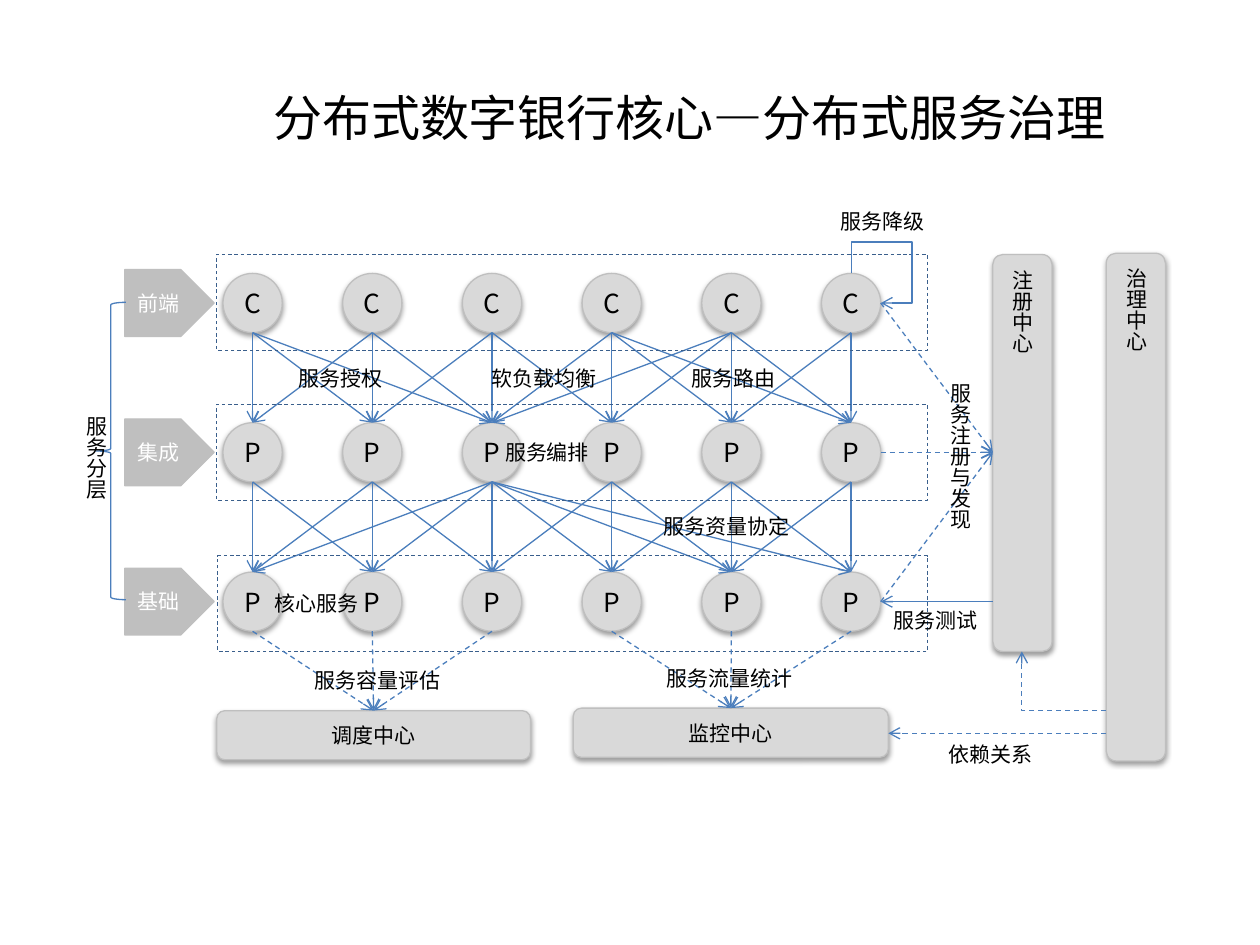
from pptx import Presentation
from pptx import util as u
from pptx.dml.color import RGBColor
from pptx.enum import dml, shapes, text
from pptx.oxml import parse_xml
from pptx.oxml.ns import nsdecls, qn

# ---- Content ----
TITLE = "分布式数字银行核心—分布式服务治理"
LAYERS = [("前端", "C"), ("集成", "P"), ("基础", "P")]
# Calls from each node (by column) to nodes in the layer below
CALLS = [
    [(0, 1, 2), (0, 1, 2), (1, 2, 3), (2, 3, 4, 5), (2, 3, 4, 5), (4, 5)],
    [(0, 1), (0, 1, 2), (0, 1, 2, 3, 4, 5), (2, 3, 4), (3, 4, 5), (4, 5)],
]
# name, (left, top, width, height), vertical
CENTERS = {
    "dispatch": ("调度中心", (1.72, 5.64, 2.49, 0.39), False),
    "monitor": ("监控中心", (4.55, 5.62, 2.5, 0.39), False),
    "registry": ("注册中心", (7.88, 2.02, 0.47, 3.15), True),
    "governance": ("治理中心", (8.78, 2.01, 0.47, 4.03), True),
}
LABELS = [
    ("服务降级", 6.57, 1.61), ("服务授权", 2.27, 2.85),
    ("软负载均衡", 3.8, 2.85), ("服务路由", 5.39, 2.85),
    ("服务编排", 3.91, 3.44), ("服务资量协定", 5.17, 4.03),
    ("核心服务", 2.08, 4.64), ("服务容量评估", 2.4, 5.25),
    ("服务流量统计", 5.19, 5.23), ("依赖关系", 7.43, 5.84),
    ("服务测试", 6.99, 4.77),
]
VERTICAL_LABELS = [("服务分层", 0.51, 3.2, 0.77), ("服务注册与发现", 7.37, 2.94, 1.28)]
FRAMES = [(1.72, 2.02, 5.64, 0.76), (1.72, 3.21, 5.64, 0.76), (1.73, 4.41, 5.63, 0.76)]

THEME = {
    "font": "Noto Sans CJK SC", "title": 28, "node": 15, "body": 12,
    "ink": "000000", "light": "FFFFFF", "face": "D9D9D9", "edge": "BFBFBF",
    "arrow": "4B7EBC", "frame": "3A5F8C",
}

# ---- Grid ----
COLUMNS = 6
NODE = 0.47
NODE_LEFT, NODE_TOP = 1.77, 2.17
COLUMN_STEP, ROW_STEP = 0.95, 1.185


def center_x(column):
    return NODE_LEFT + COLUMN_STEP * column + NODE / 2


def top_y(row):
    return NODE_TOP + ROW_STEP * row


def inches(values):
    return [u.Inches(value) for value in values]


deck = Presentation()
deck.slide_width, deck.slide_height = u.Inches(10), u.Inches(7.5)
page = deck.slides.add_slide(deck.slide_layouts[6])


# ---- Helpers ----
def write(box, words, size, color="ink", centered=True, vertical=False):
    frame = box.text_frame
    frame.text = words
    frame.vertical_anchor = text.MSO_ANCHOR.MIDDLE
    para = frame.paragraphs[0]
    para.alignment = text.PP_ALIGN.CENTER if centered else text.PP_ALIGN.LEFT
    span = para.runs[0]
    span.font.size = u.Pt(THEME[size])
    span.font.name = THEME["font"]
    span.font.color.rgb = RGBColor.from_string(THEME[color])
    east_asian = parse_xml(f'<a:ea {nsdecls("a")} typeface="{THEME["font"]}"/>')
    span.font._element.append(east_asian)
    if vertical:
        frame._txBody.bodyPr.set("vert", "eaVert")


def stroke(line, color, width=0.75, dashed=False):
    line.color.rgb = RGBColor.from_string(THEME[color])
    line.width = u.Pt(width)
    if dashed:
        line.dash_style = dml.MSO_LINE.DASH


def add_box(kind, place, fill=None, edge="edge", width=0.75, dashed=False):
    box = page.shapes.add_shape(kind, *inches(place))
    box.shadow.inherit = False
    if fill:
        box.fill.solid()
        box.fill.fore_color.rgb = RGBColor.from_string(THEME[fill])
    else:
        box.fill.background()
    stroke(box.line, edge, width, dashed)
    return box


def add_raised(kind, place):
    box = add_box(kind, place, "face")
    effects = box._element.spPr.find(qn("a:effectLst"))
    effects.append(parse_xml(
        f'<a:outerShdw {nsdecls("a")} blurRad="{u.Pt(3.1)}" dist="{u.Pt(1.6)}" '
        'dir="5400000" rotWithShape="0"><a:srgbClr val="000000">'
        '<a:alpha val="38000"/></a:srgbClr></a:outerShdw>'))
    return box


def add_arrow(start, end, dashed=False, kind=shapes.MSO_CONNECTOR.STRAIGHT):
    arrow = page.shapes.add_connector(kind, *inches(start + end))
    stroke(arrow.line, "arrow", dashed=dashed)
    arrow.line._get_or_add_ln().append(
        parse_xml(f'<a:tailEnd {nsdecls("a")} type="arrow"/>'))
    arrow._element.spPr.append(parse_xml(f'<a:effectLst {nsdecls("a")}/>'))
    return arrow


def add_bent(corner, opposite, preset, degrees, flip=False, adjust=(), dashed=False):
    arrow = add_arrow(corner, opposite, dashed, shapes.MSO_CONNECTOR.ELBOW)
    properties = arrow._element.spPr
    frame = properties.find(qn("a:xfrm"))
    frame.set("rot", str(degrees * 60000))
    if flip:
        frame.set("flipH", "1")
    outline = properties.find(qn("a:prstGeom"))
    outline.set("prst", preset)
    guides = outline.find(qn("a:avLst"))
    for number, value in enumerate(adjust, 1):
        guides.append(parse_xml(
            f'<a:gd {nsdecls("a")} name="adj{number}" fmla="val {value}"/>'))


def add_label(words, left, top, width, height, vertical=False):
    box = page.shapes.add_textbox(*inches((left, top, width, height)))
    write(box, words, "body", centered=False, vertical=vertical)
    frame = box.text_frame
    frame.vertical_anchor = text.MSO_ANCHOR.TOP
    frame.word_wrap = False
    frame.auto_size = text.MSO_AUTO_SIZE.SHAPE_TO_FIT_TEXT


# ---- Title ----
title = page.shapes.add_textbox(*inches((0.94, 0.3, 9.06, 1.25)))
title.text_frame.word_wrap = True
write(title, TITLE, "title")

# ---- Layers of service nodes ----
for row, (layer, letter) in enumerate(LAYERS):
    for column in range(COLUMNS):
        left = NODE_LEFT + COLUMN_STEP * column
        node = add_raised(shapes.MSO_SHAPE.OVAL, (left, top_y(row), NODE, NODE))
        write(node, letter, "node")
    tag = add_box(shapes.MSO_SHAPE.PENTAGON, (0.99, top_y(row) - 0.03, 0.71, 0.53), "edge")
    write(tag, layer, "body", "light", centered=False)

# ---- Calls between layers ----
for row, sources in enumerate(CALLS):
    for source, targets in enumerate(sources):
        for target in targets:
            add_arrow((center_x(source), top_y(row) + NODE),
                      (center_x(target), top_y(row + 1)))

# ---- Layer brace and frames ----
add_box(shapes.MSO_SHAPE.LEFT_BRACE, (0.76, 2.4, 0.24, 2.36), edge="arrow")
for place in FRAMES:
    add_box(shapes.MSO_SHAPE.RECTANGLE, place, edge="frame", width=0.5, dashed=True)

# ---- Centers ----
for name, place, vertical in CENTERS.values():
    center = add_raised(shapes.MSO_SHAPE.ROUNDED_RECTANGLE, place)
    write(center, name, "body", centered=not vertical, vertical=vertical)

# ---- Base nodes report to the dispatch and monitor centers ----
for key, columns in (("dispatch", range(3)), ("monitor", range(3, 6))):
    left, top, width, height = CENTERS[key][1]
    for column in columns:
        add_arrow((center_x(column), top_y(2) + NODE), (left + width / 2, top), dashed=True)

# ---- Registration, testing, dependency and degradation ----
node_right = NODE_LEFT + COLUMN_STEP * (COLUMNS - 1) + NODE
registry_left = CENTERS["registry"][1][0]
middles = [top_y(row) + NODE / 2 for row in range(len(LAYERS))]
for middle in middles:
    add_arrow((node_right, middle), (registry_left, middles[1]), dashed=True)
add_arrow((registry_left, middles[2]), (node_right, middles[2]))
add_arrow((8.78, 5.82), (7.05, 5.82), dashed=True)
add_bent((8.11, 5.17), (8.78, 5.64), "bentConnector2", 180, dashed=True)
add_bent((center_x(5), NODE_TOP), (node_right, middles[0]), "bentConnector4", 270,
         flip=True, adjust=(-105800, 205800))

# ---- Labels ----
for words, left, top in LABELS:
    add_label(words, left, top, 0.21 + len(words) / 6, 0.3)
for words, left, top, height in VERTICAL_LABELS:
    add_label(words, left, top, 0.4, height, vertical=True)

deck.save("out.pptx")
